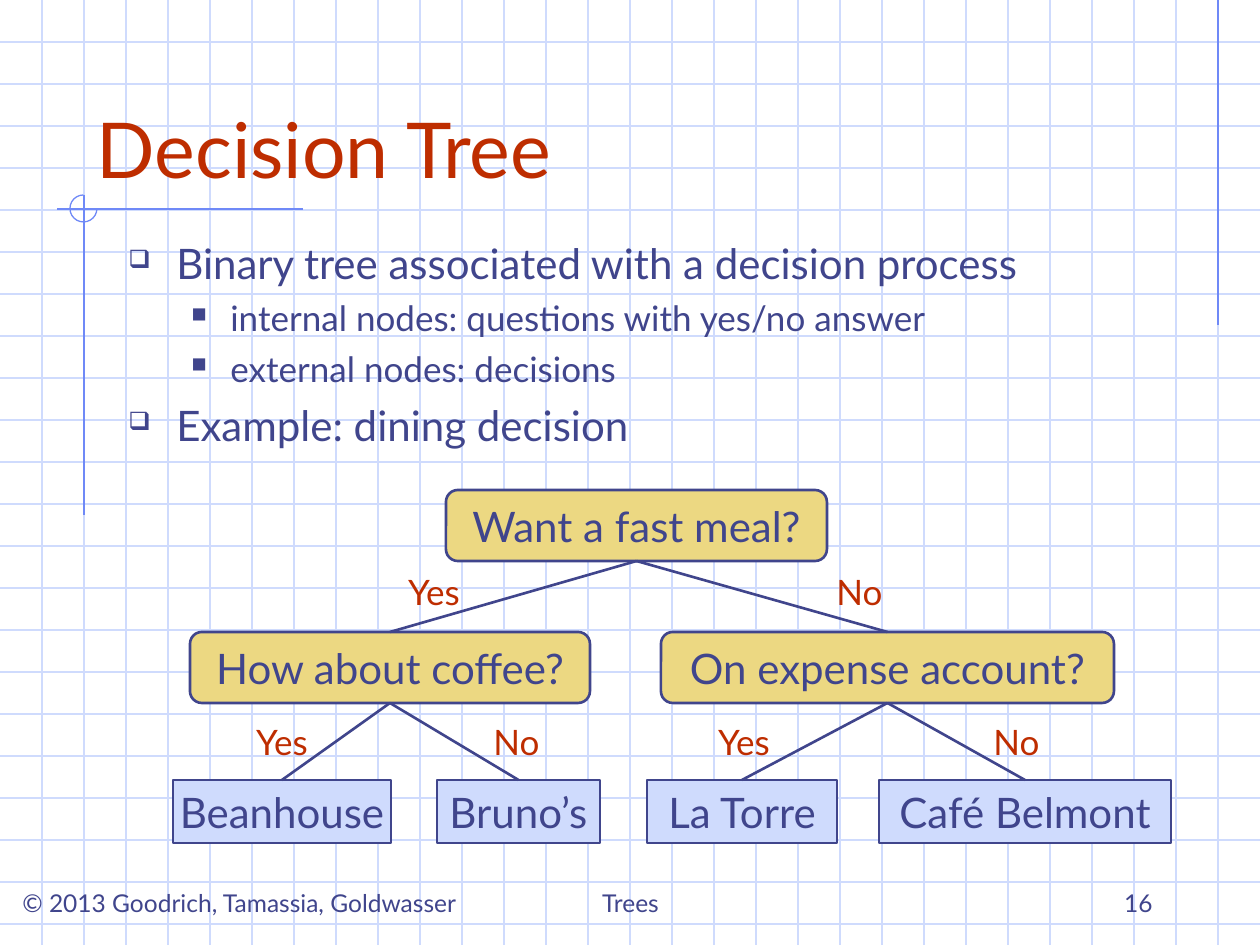
from dataclasses import dataclass

from lxml import etree
from pptx import Presentation
from pptx.dml.color import RGBColor
from pptx.enum.shapes import MSO_CONNECTOR, MSO_SHAPE
from pptx.enum.text import MSO_ANCHOR, MSO_AUTO_SIZE, PP_ALIGN
from pptx.oxml.ns import qn
from pptx.util import Emu, Pt

STRAIGHT = MSO_CONNECTOR.STRAIGHT
RECT, ROUNDED, ARC = MSO_SHAPE.RECTANGLE, MSO_SHAPE.ROUNDED_RECTANGLE, MSO_SHAPE.ARC
LEFT, CENTER, RIGHT = PP_ALIGN.LEFT, PP_ALIGN.CENTER, PP_ALIGN.RIGHT
TOP, MIDDLE, BOTTOM = MSO_ANCHOR.TOP, MSO_ANCHOR.MIDDLE, MSO_ANCHOR.BOTTOM
TOP_SITE, BOTTOM_SITE = 0, 2

PX_PER_INCH = 126
WIDTH, HEIGHT, GRID = 1260, 945, 42


@dataclass(frozen=True)
class Theme:
    font: str = "Lato"
    ink: str = "40458C"
    accent: str = "BE2D00"
    question: str = "ECD882"
    decision: str = "CFDBFD"
    grid: str = "CFDBFD"
    rule: str = "6F89F7"
    title_size: int = 44
    body_size: int = 24
    sub_size: int = 20
    footer_size: int = 14
    thin: float = 0.75
    thick: float = 1.5


THEME = Theme()

# Text, level
BULLETS = [
    ("Binary tree associated with a decision process", 0),
    ("internal nodes: questions with yes/no answer", 1),
    ("external nodes: decisions", 1),
    ("Example: dining decision", 0),
]
# Character, left margin, hanging indent, size, space before, by level
BULLET_LEVELS = [
    ("❑", 48, 48, THEME.body_size, 6),
    ("■", 102, 39, THEME.sub_size, 5),
]

# Key: text, left, width, by row of the tree
QUESTION_ROWS = {
    490: {"fast": ("Want a fast meal?", 446, 381)},
    632: {
        "coffee": ("How about coffee?", 190, 400),
        "expense": ("On expense account?", 661, 453),
    },
}
DECISION_ROWS = {
    780: {
        "chain": ("Beanhouse", 173, 218),
        "diner": ("Bruno’s", 437, 163),
        "trattoria": ("La Torre", 647, 190),
        "cafe": ("Café Belmont", 879, 292),
    },
}
# Parent, child, answer, left and top of the answer
BRANCHES = [
    ("fast", "coffee", "Yes", 393, 564),
    ("fast", "expense", "No", 823, 564),
    ("coffee", "chain", "Yes", 241, 714),
    ("coffee", "diner", "No", 480, 714),
    ("expense", "trattoria", "Yes", 703, 714),
    ("expense", "cafe", "No", 980, 714),
]
ANSWER_WIDTHS = {"Yes": 82, "No": 73}


def px(n):
    return Emu(round(n * 914400 / PX_PER_INCH))


def rgb(color):
    return RGBColor.from_string(color)


def style(p, size, color=THEME.ink, align=LEFT):
    p.alignment = align
    p.font.name = THEME.font
    p.font.size = Pt(size)
    p.font.color.rgb = rgb(color)


def add_line(s, x1, y1, x2, y2, color, width=THEME.thin):
    line = s.shapes.add_connector(STRAIGHT, px(x1), px(y1), px(x2), px(y2))
    line.line.color.rgb = rgb(color)
    line.line.width = Pt(width)
    etree.SubElement(line.element.spPr, qn("a:effectLst"))
    return line


def add_text(s, text, box, size, color=THEME.ink, align=LEFT, anchor=TOP, wrap=True):
    tf = s.shapes.add_textbox(*map(px, box)).text_frame
    tf.word_wrap = wrap
    tf.vertical_anchor = anchor
    tf.text = text
    style(tf.paragraphs[0], size, color, align)


def add_background(s):
    # Squared paper
    for y in range(GRID, HEIGHT, GRID):
        add_line(s, 0, y, WIDTH, y, THEME.grid)
    for x in range(GRID, WIDTH, GRID):
        add_line(s, x, 0, x, HEIGHT, THEME.grid)

    # Margin rules and the three-quarter circle where they cross
    add_line(s, 1218, 0, 1218, 325, THEME.rule)
    add_line(s, 303, 209, 57, 209, THEME.rule)
    add_line(s, 84, 195, 84, 515, THEME.rule)
    arc = s.shapes.add_shape(ARC, px(70), px(195), px(27), px(27))
    arc.adjustments[0] = 0
    arc.adjustments[1] = 162  # 270 degrees, in units of 100000/60000 degree
    arc.shadow.inherit = False
    arc.fill.background()
    arc.line.color.rgb = rgb(THEME.rule)
    arc.line.width = Pt(THEME.thin)


def set_title(s, text):
    title = s.shapes.title
    title.element.getparent().append(title.element)  # in front of the grid
    title.left, title.top, title.width, title.height = map(px, (84, 42, 1071, 158))
    tf = title.text_frame
    tf.text = text
    tf.auto_size = MSO_AUTO_SIZE.NONE
    tf.vertical_anchor = BOTTOM
    style(tf.paragraphs[0], THEME.title_size, THEME.accent)


def add_bullets(s):
    tf = s.shapes.add_textbox(px(116), px(231), px(1071), px(252)).text_frame
    tf.word_wrap = True
    for i, (text, level) in enumerate(BULLETS):
        char, margin, hang, size, before = BULLET_LEVELS[level]
        p = tf.paragraphs[0] if i == 0 else tf.add_paragraph()
        p.text = text
        p.level = level
        p.space_before = Pt(before)
        style(p, size)
        pPr = p._p.get_or_add_pPr()
        pPr.set("marL", str(px(margin)))
        pPr.set("indent", str(-px(hang)))
        marks = [etree.Element(qn("a:buSzPct"), val="60000"),
                 etree.Element(qn("a:buChar"), char=char)]
        for offset, mark in enumerate(marks):
            pPr.insert(1 + offset, mark)  # after the spacing


def add_nodes(s, rows, preset, height, fill):
    nodes = {}
    for top, row in rows.items():
        for key, (text, left, width) in row.items():
            sp = s.shapes.add_shape(preset, px(left), px(top), px(width), px(height))
            sp.shadow.inherit = False
            sp.fill.solid()
            sp.fill.fore_color.rgb = rgb(fill)
            sp.line.color.rgb = rgb(THEME.ink)
            sp.line.width = Pt(THEME.thick)
            tf = sp.text_frame
            tf.word_wrap = False
            tf.vertical_anchor = MIDDLE
            tf.text = text
            style(tf.paragraphs[0], THEME.body_size, align=CENTER)
            nodes[key] = sp
    return nodes


def add_branch(s, parent, child, answer, left, top):
    line = add_line(s, 0, 0, 0, 0, THEME.ink, THEME.thick)
    line.begin_connect(parent, BOTTOM_SITE)
    line.end_connect(child, TOP_SITE)
    add_text(s, answer, (left, top, ANSWER_WIDTHS[answer], 55), THEME.sub_size,
             THEME.accent, CENTER, wrap=False)


def main():
    prs = Presentation()
    prs.slide_width, prs.slide_height = px(WIDTH), px(HEIGHT)
    s = prs.slides.add_slide(prs.slide_layouts[5])

    add_background(s)
    set_title(s, "Decision Tree")
    add_bullets(s)

    # Decision tree
    nodes = add_nodes(s, QUESTION_ROWS, ROUNDED, 71, THEME.question)
    nodes.update(add_nodes(s, DECISION_ROWS, RECT, 63, THEME.decision))
    for parent, child, *answer in BRANCHES:
        add_branch(s, nodes[parent], nodes[child], *answer)

    # Footer
    for text, left, width, align in [
        ("© 2013 Goodrich, Tamassia, Goldwasser", 10, 494, LEFT),
        ("Trees", 431, 399, CENTER),
        ("16", 903, 262, RIGHT),
    ]:
        add_text(s, text, (left, 861, width, 63), THEME.footer_size,
                 align=align, anchor=BOTTOM)

    prs.save("out.pptx")


if __name__ == "__main__":
    main()
